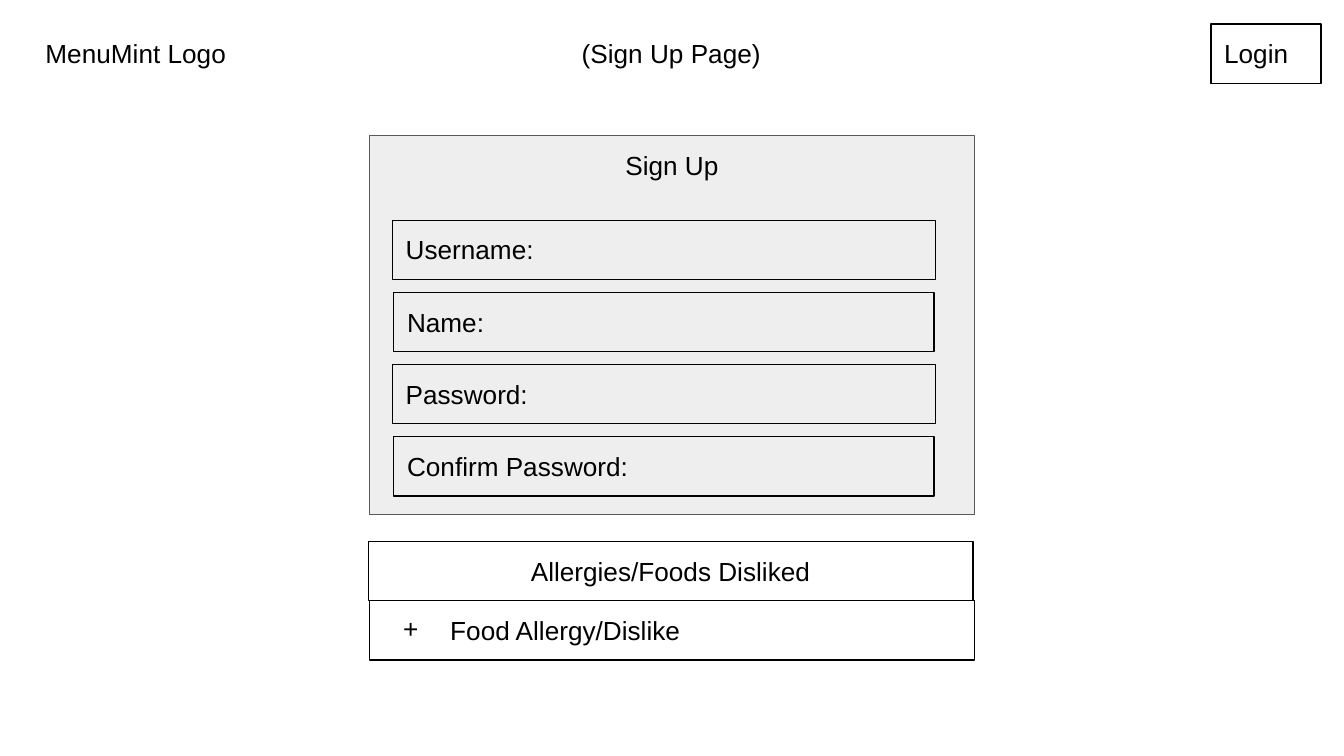
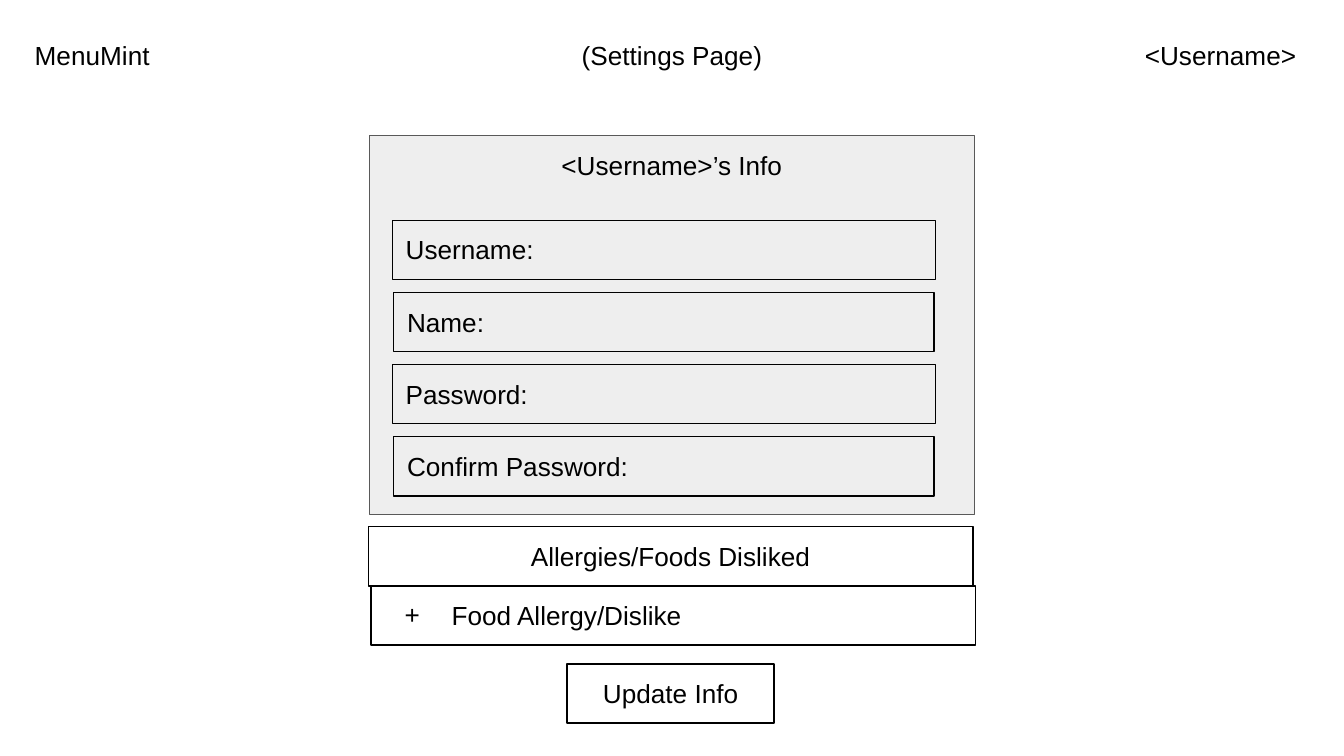
from lxml import etree
from pptx import Presentation
from pptx.dml.color import RGBColor
from pptx.enum.shapes import MSO_SHAPE
from pptx.enum.text import MSO_ANCHOR, MSO_AUTO_SIZE, PP_ALIGN
from pptx.oxml.ns import qn
from pptx.util import Inches, Pt

BLACK = RGBColor(0x00, 0x00, 0x00)
PANEL_FILL = RGBColor(0xEE, 0xEE, 0xEE)
PANEL_LINE = RGBColor(0x59, 0x59, 0x59)
FONT = "Arial"
LEFT, CENTER = PP_ALIGN.LEFT, PP_ALIGN.CENTER
RECTANGLE = MSO_SHAPE.RECTANGLE
TOP = MSO_ANCHOR.TOP
FIT_SHAPE, FIXED_SIZE = MSO_AUTO_SIZE.SHAPE_TO_FIT_TEXT, MSO_AUTO_SIZE.NONE

BRAND = "MenuMint"
ROW_H = 0.44
PANEL_X, PANEL_Y, PANEL_W, PANEL_H = 2.75, 1.01, 4.5, 2.82
FIELD_X, FIELD_W = 2.92, 4.04
FIRST_FIELD_Y, LAST_FIELD_Y = 1.64, 3.25
FIELDS = ["Username:", "Name:", "Password:", "Confirm Password:"]


def write(sp, text, size=14, color=BLACK, align=LEFT, fit=FIT_SHAPE):
    """Put one formatted line of text into a shape."""
    tf = sp.text_frame
    tf.word_wrap = True
    tf.auto_size = fit
    tf.vertical_anchor = TOP
    tf.margin_left = tf.margin_right = Inches(0.1)
    tf.margin_top = tf.margin_bottom = Inches(0.1)
    p = tf.paragraphs[0]
    p.alignment = align
    p.space_before = Pt(0)
    r = p.add_run()
    r.text = text
    r.font.name = FONT
    r.font.size = Pt(size)
    r.font.color.rgb = color


def outline(sp, color=BLACK):
    """Give a shape the thin wireframe border."""
    sp.line.color.rgb = color
    sp.line.width = Pt(0.75)


def place(sp, x, y, w, h=ROW_H):
    """Move and size a placeholder."""
    sp.left, sp.top, sp.width, sp.height = (Inches(v) for v in (x, y, w, h))


def add_label(s, text, x, y, w, align=LEFT):
    """Add a text box without a border."""
    sp = s.shapes.add_textbox(Inches(x), Inches(y), Inches(w), Inches(ROW_H))
    write(sp, text, align=align)


def add_box(s, x, y, w, h=ROW_H, text=None, align=LEFT, fill=None, line=BLACK):
    """Add a bordered rectangle, optionally filled and labelled."""
    sp = s.shapes.add_shape(RECTANGLE, Inches(x), Inches(y), Inches(w), Inches(h))
    sp.shadow.inherit = False
    if fill is None:
        sp.fill.background()
    else:
        sp.fill.solid()
        sp.fill.fore_color.rgb = fill
    outline(sp, line)
    if text:
        write(sp, text, align=align)


def add_title(s, text, x, y, w):
    """Fill the title placeholder with the page name."""
    place(s.shapes.title, x, y, w)
    write(s.shapes.title, text, align=CENTER)


def add_food_list(s, x, y):
    """Add the allergy heading and its list with plus bullets."""
    add_box(s, 2.74, y, PANEL_W, text="Allergies/Foods Disliked", align=CENTER)
    body = s.placeholders[1]
    place(body, x, y + ROW_H, PANEL_W)
    outline(body)
    write(body, "Food Allergy/Dislike", fit=FIXED_SIZE)
    pPr = body.text_frame.paragraphs[0]._p.get_or_add_pPr()
    pPr.set("marL", str(Inches(0.5)))
    pPr.set("indent", str(Inches(-0.35)))
    color = etree.SubElement(pPr, qn("a:buClr"))
    etree.SubElement(color, qn("a:srgbClr")).set("val", str(BLACK))
    etree.SubElement(pPr, qn("a:buFont")).set("typeface", FONT)
    etree.SubElement(pPr, qn("a:buChar")).set("char", "+")


def add_form(s, heading):
    """Add the grey panel with its heading and evenly spaced fields."""
    add_box(s, PANEL_X, PANEL_Y, PANEL_W, PANEL_H, fill=PANEL_FILL, line=PANEL_LINE)
    add_label(s, heading, PANEL_X, PANEL_Y, PANEL_W, align=CENTER)
    pitch = (LAST_FIELD_Y - FIRST_FIELD_Y) / (len(FIELDS) - 1)
    for i, name in enumerate(FIELDS):
        inset = 0.01 * (i % 2)
        add_box(s, FIELD_X + inset, FIRST_FIELD_Y + i * pitch,
                FIELD_W - 2 * inset, text=name)


def add_sign_up_page(prs):
    """Build the sign-up page."""
    s = prs.slides.add_slide(prs.slide_layouts[1])
    add_title(s, "(Sign Up Page)", 3.88, 0.18, 2.23)
    add_label(s, BRAND + " Logo", 0.24, 0.18, 1.67)
    add_box(s, 9.01, 0.18, 0.82, text="Login")
    add_form(s, "Sign Up")
    add_food_list(s, 2.75, 4.03)


def add_settings_page(prs):
    """Build the settings page."""
    s = prs.slides.add_slide(prs.slide_layouts[1])
    add_title(s, "(Settings Page)", 3.74, 0.19, 2.52)
    add_label(s, "<Username>", 8.42, 0.19, 1.43)
    add_label(s, BRAND, 0.16, 0.19, 1.15)
    add_form(s, "<Username>\u2019s Info")
    add_food_list(s, 2.76, 3.92)
    add_box(s, 4.22, 4.94, 1.54, text="Update Info", align=CENTER)


def main():
    """Build and save the 16:9 wireframes."""
    prs = Presentation()
    prs.slide_width = Inches(10)
    prs.slide_height = prs.slide_width * 9 // 16
    add_sign_up_page(prs)
    add_settings_page(prs)
    prs.save("out.pptx")


main()
